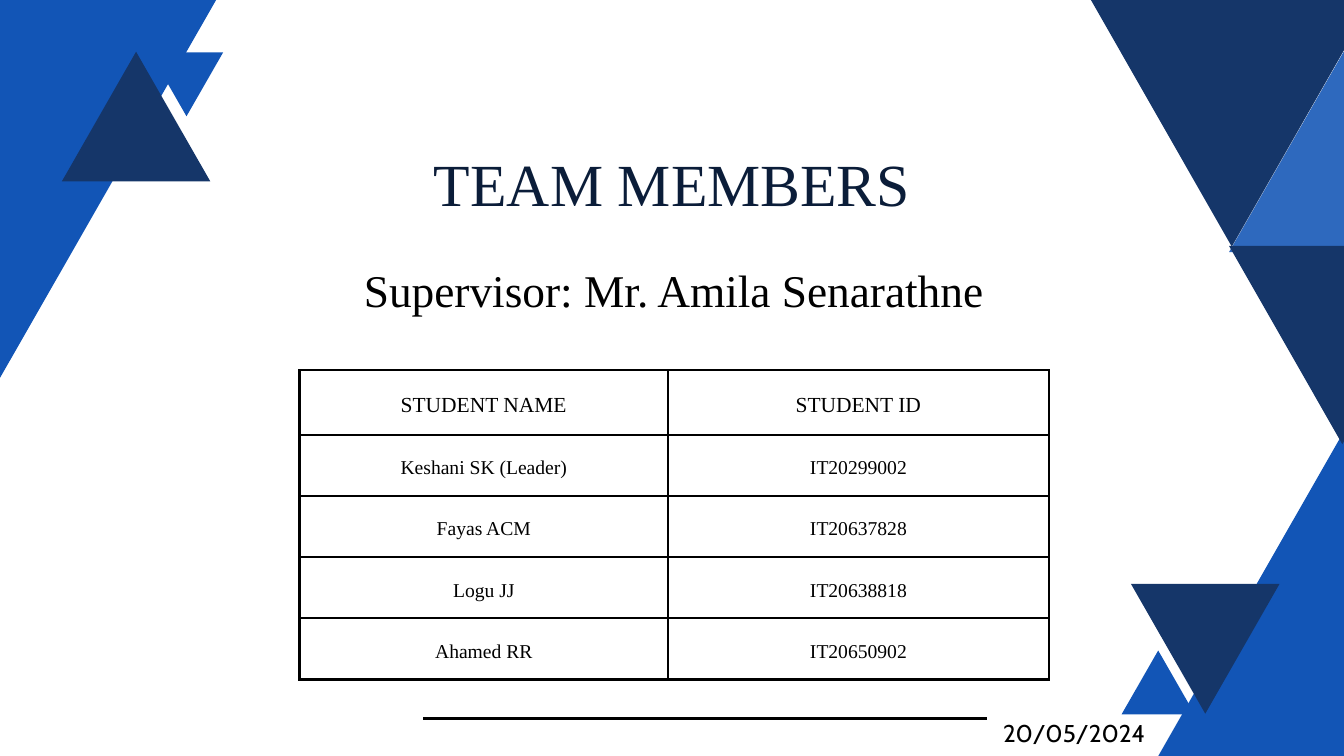
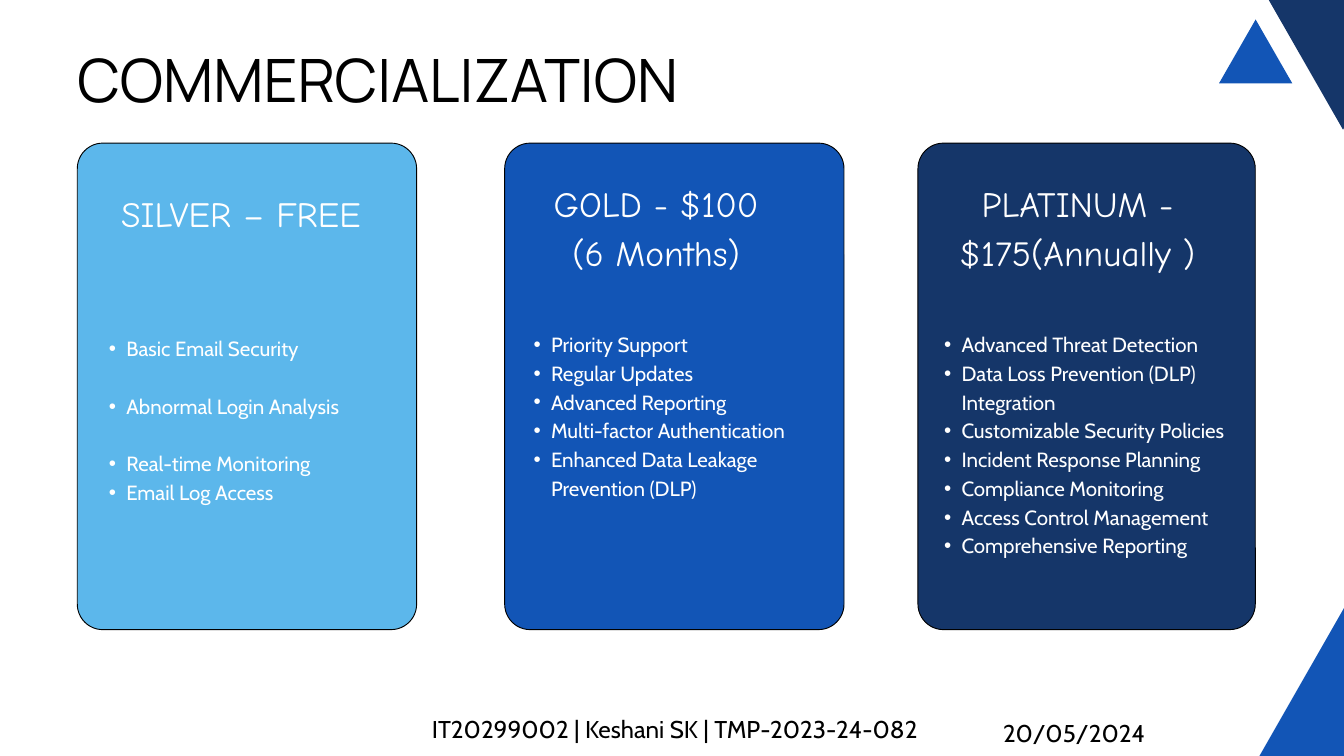
from dataclasses import dataclass

from lxml.etree import SubElement
from pptx import Presentation
from pptx.dml.color import RGBColor
from pptx.enum.shapes import MSO_CONNECTOR as Connector
from pptx.enum.shapes import MSO_SHAPE as Shape
from pptx.enum.text import MSO_ANCHOR as Anchor
from pptx.enum.text import PP_ALIGN as Align
from pptx.oxml.ns import qn
from pptx.util import Inches, Pt

COLOURS = {
    "black": "000000",
    "white": "FFFFFF",
    "ink": "0B1D39",
    "navy": "153669",
    "blue": "1255B6",
    "sky": "5CB7EB",
}
CARD_TOP, CARD_HEIGHT, CARD_RADIUS = 2.13, 7.24, 0.38
BULLET_SPACING = 30.8
BORDER_WIDTH = 3
CELL_INSET = 0.21


@dataclass(frozen=True)
class TextStyle:
    font: str
    size: float
    spacing: float
    colour: str = "black"
    align: Align = Align.CENTER


@dataclass(frozen=True)
class Triangle:
    left: float
    top: float
    width: float
    height: float
    colour: str
    points_down: bool = False
    opacity: int = 100


@dataclass(frozen=True)
class PlanCard:
    left: float
    width: float
    colour: str
    heading: list[str]
    heading_left: float
    heading_top: float
    features: list[str]
    features_left: float
    features_top: float
    features_width: float
    spaced_features: int = 0


TEAM_TITLE = TextStyle("Times New Roman", 64, 76.2, "ink")
SUPERVISOR = TextStyle("Times New Roman", 48.6, 57.8)
TABLE_HEADER = TextStyle("Times New Roman", 23, 32.2)
TABLE_BODY = TextStyle("Times New Roman", 21, 29.4)
PLAN_TITLE = TextStyle("Manrope", 64, 76.2, align=Align.LEFT)
PLAN_HEADING = TextStyle("Comic Neue", 38, 53.2, "white")
PLAN_FEATURE = TextStyle("Cabin", 22, BULLET_SPACING, "white", Align.LEFT)
FOOTER = TextStyle("Cabin", 26, 36.4)

TEAM_TRIANGLES = [
    Triangle(16.87, 6.05, 6.68, 5.84, "blue"),
    Triangle(-3.35, -0.2, 6.68, 5.84, "blue", True),
    Triangle(18.29, 0.77, 3.41, 2.98, "blue", opacity=88),
    Triangle(18.29, 3.66, 3.37, 2.95, "navy", True),
    Triangle(16.12, -0.2, 4.42, 3.87, "navy", True),
    Triangle(0.92, 0.77, 2.21, 1.93, "navy"),
    Triangle(16.83, 8.69, 2.21, 1.93, "navy", True),
    Triangle(2.23, 0.78, 1.09, 0.95, "blue", True),
    Triangle(16.69, 9.68, 1.09, 0.95, "blue"),
]
PLAN_TRIANGLES = [
    Triangle(18.01, 7.15, 6.15, 5.38, "blue"),
    Triangle(18.88, 0, 2.21, 1.93, "navy", True),
    Triangle(18.14, 0.29, 1.09, 0.95, "blue"),
]
STUDENTS = [
    ("STUDENT NAME", "STUDENT ID"),
    ("Keshani SK (Leader)", "IT20299002"),
    ("Fayas ACM", "IT20637828"),
    ("Logu JJ", "IT20638818"),
    ("Ahamed RR", "IT20650902"),
]
PLANS = [
    PlanCard(
        1.15, 5.05, "sky", ["SILVER – FREE"], 1.26, 2.75,
        ["Basic Email Security", "Abnormal Login Analysis",
         "Real-time Monitoring", "Email Log Access"],
        1.36, 4.94, 4.18, spaced_features=2,
    ),
    PlanCard(
        7.51, 5.05, "blue", ["GOLD - $100", "(6 Months)"], 7.44, 2.6,
        ["Priority Support", "Regular Updates", "Advanced Reporting",
         "Multi-factor Authentication",
         "Enhanced Data Leakage Prevention (DLP)"],
        7.68, 4.88, 4.51,
    ),
    PlanCard(
        13.66, 5.02, "navy", ["PLATINUM - $175(Annually )"], 13.71, 2.6,
        ["Advanced Threat Detection",
         "Data Loss Prevention (DLP) Integration",
         "Customizable Security Policies", "Incident Response Planning",
         "Compliance Monitoring", "Access Control Management",
         "Comprehensive Reporting"],
        13.79, 4.88, 5.02,
    ),
]


def rgb(name: str) -> RGBColor:
    return RGBColor.from_string(COLOURS[name])


def format_paragraph(paragraph, style: TextStyle) -> None:
    paragraph.alignment = style.align
    paragraph.line_spacing = Pt(style.spacing)
    for run in paragraph.runs:
        run.font.name = style.font
        run.font.size = Pt(style.size)
        run.font.color.rgb = rgb(style.colour)


def add_text(slide, lines: list[str], left: float, top: float, width: float,
             height: float, style: TextStyle):
    box = slide.shapes.add_textbox(
        Inches(left), Inches(top), Inches(width), Inches(height))
    frame = box.text_frame
    frame.word_wrap = True
    frame.margin_left = frame.margin_right = 0
    frame.margin_top = frame.margin_bottom = 0
    frame.text = "\n".join(lines)
    for paragraph in frame.paragraphs:
        format_paragraph(paragraph, style)
    return frame


def add_bullet(paragraph) -> None:
    properties = paragraph._p.get_or_add_pPr()
    properties.set("marL", str(Inches(0.52)))
    properties.set("indent", str(Inches(-0.26)))
    SubElement(properties, qn("a:buFont"), typeface="Arial")
    SubElement(properties, qn("a:buChar"), char="•")


def add_triangle(slide, triangle: Triangle) -> None:
    shape = slide.shapes.add_shape(
        Shape.ISOSCELES_TRIANGLE, Inches(triangle.left), Inches(triangle.top),
        Inches(triangle.width), Inches(triangle.height))
    shape.shadow.inherit = False
    shape.rotation = 180 if triangle.points_down else 0
    shape.fill.solid()
    shape.fill.fore_color.rgb = rgb(triangle.colour)
    shape.line.fill.background()
    if triangle.opacity < 100:
        colour = shape._element.spPr.find(qn("a:solidFill"))[0]
        SubElement(colour, qn("a:alpha"), val=str(triangle.opacity * 1000))


def add_footer_line(slide) -> None:
    line = slide.shapes.add_connector(
        Connector.STRAIGHT, Inches(6.3), Inches(10.69),
        Inches(14.69), Inches(10.69))
    line.line.color.rgb = rgb("black")
    line.line.width = Pt(3)
    SubElement(line._element.spPr, qn("a:effectLst"))


def add_borders(cell) -> None:
    properties = cell._tc.get_or_add_tcPr()
    for position, side in enumerate(("lnL", "lnR", "lnT", "lnB")):
        border = SubElement(properties, qn(f"a:{side}"),
                            w=str(Pt(BORDER_WIDTH)))
        fill = SubElement(border, qn("a:solidFill"))
        SubElement(fill, qn("a:srgbClr"), val=COLOURS["black"])
        properties.insert(position, border)


def add_student_table(slide) -> None:
    widths = [5.48, 5.67]
    heights = [0.96] + [0.91] * (len(STUDENTS) - 1)
    table = slide.shapes.add_table(
        len(heights), len(widths), Inches(4.46), Inches(5.51),
        Inches(sum(widths)), Inches(sum(heights))).table
    table.first_row = table.horz_banding = False
    for column, width in zip(table.columns, widths):
        column.width = Inches(width)
    for row, height, texts in zip(table.rows, heights, STUDENTS):
        row.height = Inches(height)
        style = TABLE_HEADER if texts is STUDENTS[0] else TABLE_BODY
        for cell, text in zip(row.cells, texts):
            cell.margin_left = cell.margin_right = Inches(CELL_INSET)
            cell.margin_top = cell.margin_bottom = Inches(CELL_INSET)
            cell.vertical_anchor = Anchor.MIDDLE
            cell.fill.background()
            add_borders(cell)
            cell.text_frame.text = text
            format_paragraph(cell.text_frame.paragraphs[0], style)


def add_card(slide, plan: PlanCard) -> None:
    card = slide.shapes.add_shape(
        Shape.ROUNDED_RECTANGLE, Inches(plan.left), Inches(CARD_TOP),
        Inches(plan.width), Inches(CARD_HEIGHT))
    card.adjustments[0] = CARD_RADIUS / plan.width
    card.shadow.inherit = False
    card.fill.solid()
    card.fill.fore_color.rgb = rgb(plan.colour)
    card.line.color.rgb = rgb("black")
    card.line.width = Pt(1)


def add_card_text(slide, plan: PlanCard) -> None:
    add_text(slide, plan.heading, plan.heading_left, plan.heading_top,
             4.65, 1.44, PLAN_HEADING)
    features = add_text(slide, plan.features, plan.features_left,
                        plan.features_top, plan.features_width, 3,
                        PLAN_FEATURE)
    for position, paragraph in enumerate(features.paragraphs):
        if position < plan.spaced_features:
            paragraph.space_after = Pt(BULLET_SPACING)
        paragraph.level = 1
        add_bullet(paragraph)


def add_date(slide) -> None:
    add_text(slide, ["20/05/2024"], 14.85, 10.61, 2.27, 0.51, FOOTER)


def add_slide(presentation, triangles: list[Triangle]):
    slide = presentation.slides.add_slide(presentation.slide_layouts[6])
    for triangle in triangles:
        add_triangle(slide, triangle)
    return slide


def build_team_slide(presentation) -> None:
    slide = add_slide(presentation, TEAM_TRIANGLES)
    add_footer_line(slide)
    add_student_table(slide)
    add_text(slide, ["TEAM MEMBERS"], 5.43, 2.19, 9.14, 1.12, TEAM_TITLE)
    add_text(slide, ["Supervisor: Mr. Amila Senarathne"],
             3.13, 3.91, 13.79, 0.86, SUPERVISOR)
    add_date(slide)


def build_plan_slide(presentation) -> None:
    slide = add_slide(presentation, PLAN_TRIANGLES)
    add_text(slide, ["COMMERCIALIZATION"], 1.15, 0.65, 10.34, 1.12, PLAN_TITLE)
    for plan in PLANS:
        add_card(slide, plan)
        add_card_text(slide, plan)
    add_text(slide, ["IT20299002 | Keshani SK | TMP-2023-24-082"],
             5.34, 10.56, 9.41, 0.51, FOOTER)
    add_date(slide)


def main() -> None:
    presentation = Presentation()
    presentation.slide_width = Inches(20)
    presentation.slide_height = Inches(11.25)
    build_team_slide(presentation)
    build_plan_slide(presentation)
    presentation.save("out.pptx")


if __name__ == "__main__":
    main()
